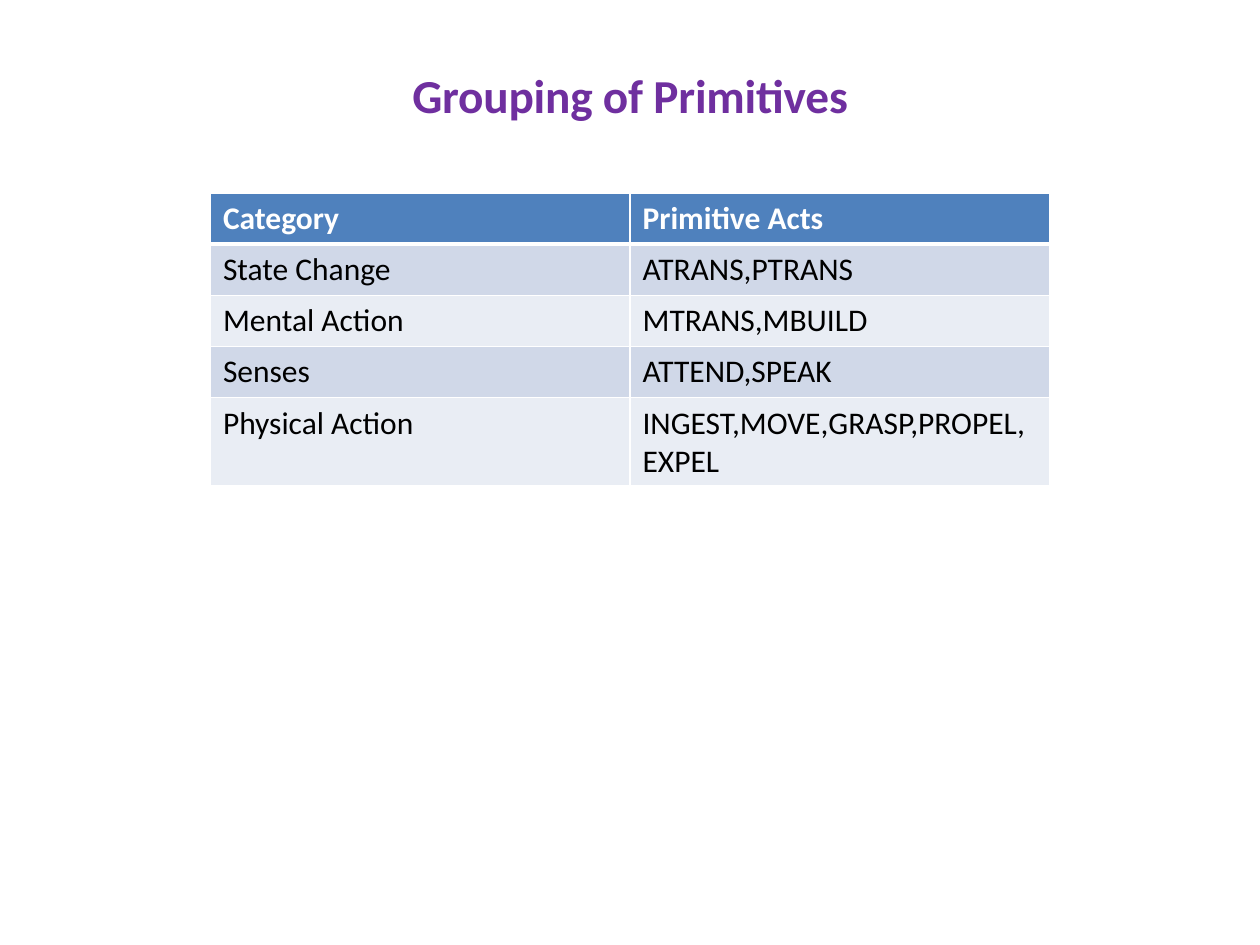
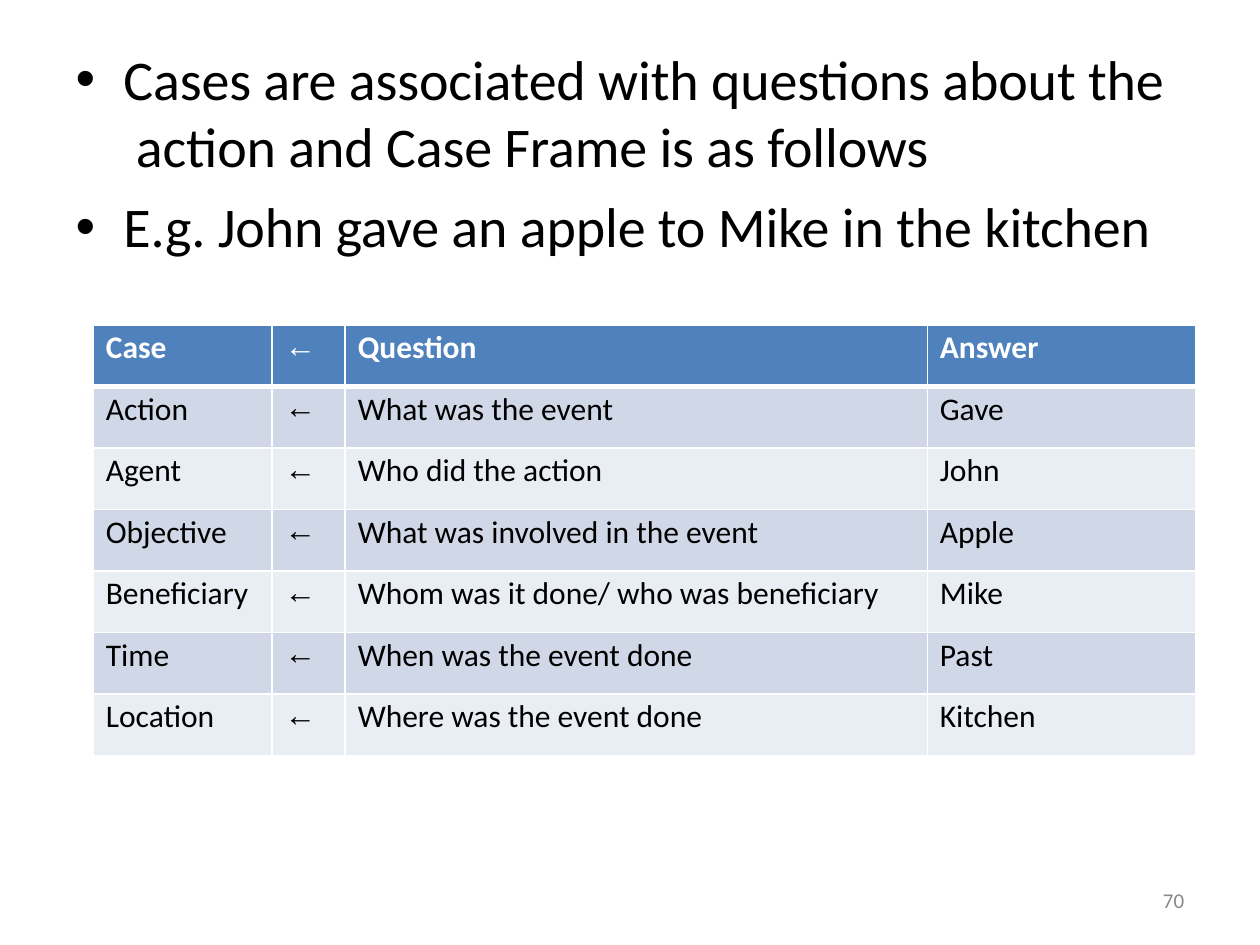
from dataclasses import dataclass

from lxml import etree
from pptx import Presentation
from pptx import util as u
from pptx.dml import color
from pptx.enum import text
from pptx.oxml import ns


@dataclass(frozen=True)
class Theme:
    """Colours, fonts and type sizes of the deck."""
    heading: str = "6F2F9F"
    header: str = "4F81BD"
    bands: tuple = ("D0D8E8", "E9EDF4")
    white: str = "FFFFFF"
    ink: str = "000000"
    muted: str = "888888"
    font: str = "Calibri"
    arrow_font: str = "Arial"
    title_size: float = 27
    bullet_size: float = 32
    cell_size: float = 18
    footer_size: float = 12
    tight: int = -10


class Deck:
    """Draws on the current slide using a grid of 100 columns by 75 rows."""
    COLUMNS, ROWS = 100, 75

    def __init__(self, theme):
        """Open an empty 4:3 presentation."""
        self.theme = theme
        self.show = Presentation()
        self.show.slide_width, self.show.slide_height = u.Inches(10), u.Inches(7.5)
        self.slide = None

    def new_slide(self):
        """Start a slide on the blank layout."""
        self.slide = self.show.slides.add_slide(self.show.slide_layouts[6])

    def across(self, columns):
        """Turn grid columns into a length."""
        return round(self.show.slide_width * columns / self.COLUMNS)

    def down(self, rows):
        """Turn grid rows into a length."""
        return round(self.show.slide_height * rows / self.ROWS)

    def place(self, left, top, width, height):
        """Turn a grid rectangle into lengths."""
        return self.across(left), self.down(top), self.across(width), self.down(height)

    def style(self, paragraph, size, ink, bold=False, font=None, spacing=0):
        """Format every run of a paragraph."""
        for run in paragraph.runs:
            run.font.name = font or self.theme.font
            run.font.size = u.Pt(size)
            run.font.bold = bold
            run.font.color.rgb = color.RGBColor.from_string(ink)
            run.font._element.set("spc", str(spacing))

    def words(self, content, area, left_margin=0, top_margin=0):
        """Add a wrapped text frame without padding."""
        frame = self.slide.shapes.add_textbox(*self.place(*area)).text_frame
        frame.word_wrap = True
        frame.margin_left, frame.margin_top = self.across(left_margin), self.down(top_margin)
        frame.margin_right = frame.margin_bottom = 0
        frame.text = content
        return frame

    def title(self, content):
        """Add the centred slide title."""
        line = self.words(content, (5.9, 3.8, 88.2, 18.1), top_margin=0.1).paragraphs[0]
        line.alignment = text.PP_ALIGN.CENTER
        line.line_spacing = 1.3
        self.style(line, self.theme.title_size, self.theme.heading, bold=True,
                   spacing=self.theme.tight)

    def bullets(self, points, area):
        """Add a bulleted list with hanging indents."""
        frame = self.words("\n".join(points), area, top_margin=0.1)
        for index, point in enumerate(frame.paragraphs):
            point.space_before = u.Pt(7.7 if index else 1)
            self.style(point, self.theme.bullet_size, self.theme.ink, spacing=self.theme.tight)
            properties = point._p.get_or_add_pPr()
            properties.set("marL", str(self.across(3.9)))
            properties.set("indent", str(-self.across(3.8)))
            etree.SubElement(properties, ns.qn("a:buFont"), typeface=self.theme.arrow_font)
            etree.SubElement(properties, ns.qn("a:buChar"), char="•")

    def page_number(self, number):
        """Add the slide number at the lower right."""
        line = self.words(str(number), (92, 70.7, 2.3, 1.9), left_margin=0.3).paragraphs[0]
        line.line_spacing = u.Pt(12.4)
        self.style(line, self.theme.footer_size, self.theme.muted)

    def borders(self, cell, row):
        """Rule a cell in white, with a heavier line under the header."""
        heavy = {"lnT": row == 1, "lnB": row == 0}
        for side in ("lnL", "lnR", "lnT", "lnB"):
            edge = etree.SubElement(cell._tc.get_or_add_tcPr(), ns.qn(f"a:{side}"),
                                    w=str(u.Pt(3 if heavy.get(side) else 1)))
            fill = etree.SubElement(edge, ns.qn("a:solidFill"))
            etree.SubElement(fill, ns.qn("a:srgbClr"), val=self.theme.white)

    def table(self, records, left, top, widths, heights, top_margin):
        """Add a banded table whose first record is the header."""
        area = self.place(left, top, sum(widths), sum(heights))
        grid = self.slide.shapes.add_table(len(records), len(widths), *area).table
        grid.first_row = grid.horz_banding = False
        for column, width in zip(grid.columns, widths):
            column.width = self.across(width)
        for row, (record, height) in enumerate(zip(records, heights)):
            grid.rows[row].height = self.down(height)
            for column, entry in enumerate(record):
                self.cell(grid.cell(row, column), row, entry, top_margin)

    def cell(self, cell, row, entry, top_margin):
        """Fill, rule and write one table cell."""
        theme = self.theme
        header = row == 0
        self.borders(cell, row)
        cell.fill.solid()
        cell.fill.fore_color.rgb = color.RGBColor.from_string(
            theme.header if header else theme.bands[(row - 1) % 2])
        cell.margin_left = cell.margin_right = self.across(1)
        cell.margin_top = cell.margin_bottom = self.down(top_margin)
        cell.text_frame.text = entry
        self.style(cell.text_frame.paragraphs[0], theme.cell_size,
                   theme.white if header else theme.ink, bold=header,
                   font=theme.arrow_font if entry == "←" else theme.font)


PRIMITIVES = [
    ("Category", "Primitive Acts"),
    ("State Change", "ATRANS,PTRANS"),
    ("Mental Action", "MTRANS,MBUILD"),
    ("Senses", "ATTEND,SPEAK"),
    ("Physical Action", "INGEST,MOVE,GRASP,PROPEL,EXPEL"),
]

CASE_POINTS = [
    "Cases are associated with questions about the\v action and Case Frame is as follows",
    "E.g. John gave an apple to Mike in the kitchen",
]

CASE_FRAME = [
    ("Case", "Question", "Answer"),
    ("Action", "What was the event", "Gave"),
    ("Agent", "Who did the action", "John"),
    ("Objective", "What was involved in the event", "Apple"),
    ("Beneficiary", "Whom was it done/ who was beneficiary", "Mike"),
    ("Time", "When was the event done", "Past"),
    ("Location", "Where was the event done", "Kitchen"),
]


def main():
    """Build both slides and save the deck."""
    deck = Deck(Theme())

    deck.new_slide()
    deck.title("Grouping of Primitives")
    deck.table(PRIMITIVES, 16.7, 15.3, [33.3] * 2, [4.07] * 4 + [6.9], top_margin=0.5)

    deck.new_slide()
    deck.page_number(70)
    deck.bullets(CASE_POINTS, (5.9, 3.4, 87.3, 17.4))
    arrowed = [(case, "←", question, answer) for case, question, answer in CASE_FRAME]
    deck.table(arrowed, 7.4, 25.8, [14.2, 5.8, 46.2, 21.3], [4.88] * len(arrowed),
               top_margin=0.3)

    deck.show.save("out.pptx")


if __name__ == "__main__":
    main()
